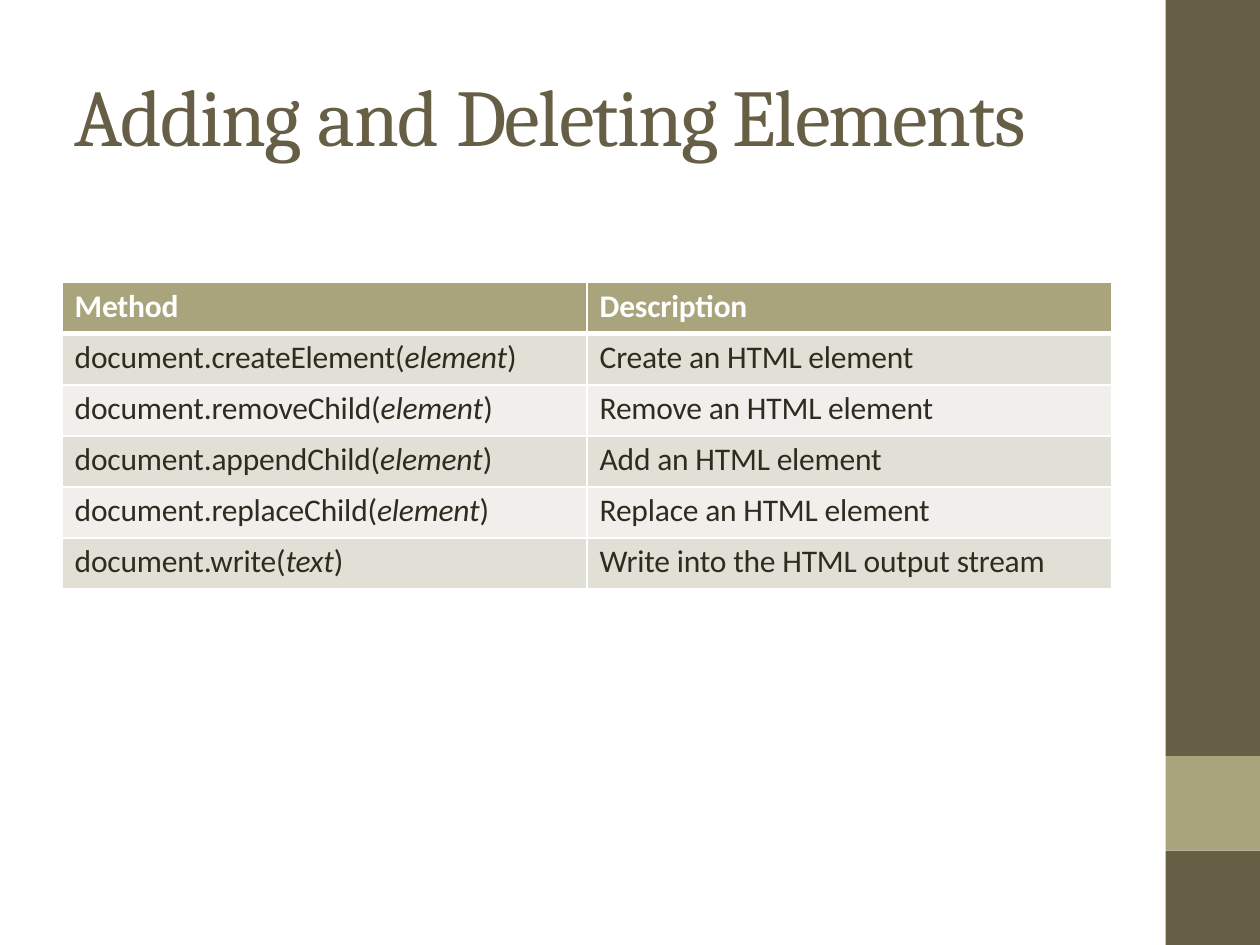
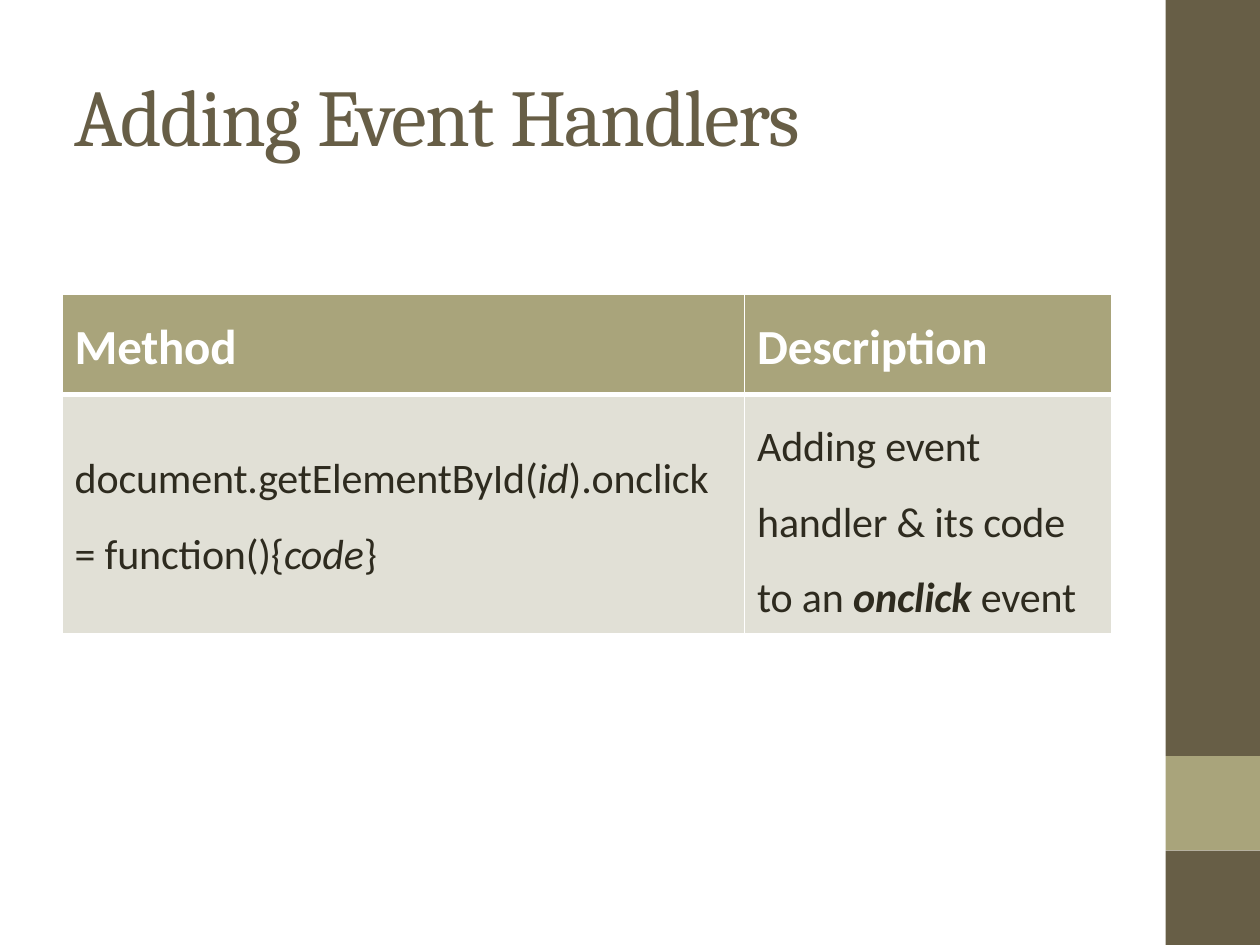
from lxml import etree
from pptx import Presentation
from pptx.dml.color import RGBColor
from pptx.enum.shapes import MSO_SHAPE
from pptx.oxml.ns import qn
from pptx.util import Pt

RECTANGLE = MSO_SHAPE.RECTANGLE

COLORS = {
    "olive": "675E46",
    "sage": "A9A47B",
    "ink": "2E2B1F",
    "white": "FFFFFF",
    "odd_row": "E1E0D6",
    "even_row": "F0EFEB",
}
TITLE_FONT, BODY_FONT = "Cambria", "Calibri"
SLIDE_WIDTH, SLIDE_HEIGHT = 720, 540
BAND_LEFT, ACCENT_TOP, ACCENT_SIZE = 666, 432, 54
TABLE_LEFT = 35.5
CELL_LEFT, CELL_RIGHT = 7.2, 12
HEADINGS = ("Method", "Description")

ELEMENT_METHODS = [
    ("document.createElement(", "element", "Create an HTML element"),
    ("document.removeChild(", "element", "Remove an HTML element"),
    ("document.appendChild(", "element", "Add an HTML element"),
    ("document.replaceChild(", "element", "Replace an HTML element"),
    ("document.write(", "text", "Write into the HTML output stream"),
]


def rgb(name):
    return RGBColor.from_string(COLORS[name])


def add_run(paragraph, text, size, font_name, color, spacing, style=""):
    run = paragraph.add_run()
    run.text = text
    font = run.font
    font.size = Pt(size)
    font.name = font_name
    font.color.rgb = rgb(color)
    font.bold = "b" in style
    font.italic = "i" in style
    run._r.get_or_add_rPr().set("spc", str(round(spacing * 100)))


def add_band(slide, top, height, color):
    band = slide.shapes.add_shape(
        RECTANGLE, Pt(BAND_LEFT), Pt(top), Pt(SLIDE_WIDTH - BAND_LEFT), Pt(height))
    band.shadow.inherit = False
    band.fill.solid()
    band.fill.fore_color.rgb = rgb(color)
    band.line.fill.background()


def add_title(slide, width, runs):
    title = slide.shapes.add_textbox(Pt(42.5), Pt(36.7), Pt(width), Pt(57))
    frame = title.text_frame
    frame.word_wrap = False
    frame.margin_left = frame.margin_right = frame.margin_bottom = 0
    frame.margin_top = Pt(0.9)
    for text, spacing in runs:
        add_run(frame.paragraphs[0], text, 46, TITLE_FONT, "olive", spacing)


def add_titled_slide(deck, title_width, title_runs):
    slide = deck.slides.add_slide(deck.slide_layouts[6])
    accent_bottom = ACCENT_TOP + ACCENT_SIZE
    add_band(slide, 0, ACCENT_TOP, "olive")
    add_band(slide, ACCENT_TOP, ACCENT_SIZE, "sage")
    add_band(slide, accent_bottom, SLIDE_HEIGHT - accent_bottom, "olive")
    add_title(slide, title_width, title_runs)
    return slide


def set_borders(cell, top, bottom):
    properties = cell._tc.get_or_add_tcPr()
    widths = {"a:lnL": 1, "a:lnR": 1, "a:lnT": top, "a:lnB": bottom}
    for position, (side, width) in enumerate(widths.items()):
        border = etree.Element(qn(side), w=str(Pt(width)))
        fill = etree.SubElement(border, qn("a:solidFill"))
        etree.SubElement(fill, qn("a:srgbClr"), val=COLORS["white"])
        properties.insert(position, border)


def fill_cell(cell, paragraphs, size, color, margin_top, line_height=None, gap=0):
    cell.margin_left, cell.margin_right = Pt(CELL_LEFT), Pt(CELL_RIGHT)
    cell.margin_top, cell.margin_bottom = Pt(margin_top), 0
    frame = cell.text_frame
    for index, runs in enumerate(paragraphs):
        paragraph = frame.add_paragraph() if index else frame.paragraphs[0]
        if index:
            paragraph.space_before = Pt(gap)
        if line_height:
            paragraph.line_spacing = Pt(line_height)
        for text, style in runs:
            add_run(paragraph, text, size, BODY_FONT, color, -0.1, style)


def add_method_table(slide, top, column_widths, row_heights, heading_size, heading_margin):
    table = slide.shapes.add_table(
        len(row_heights), len(column_widths), Pt(TABLE_LEFT), Pt(top),
        Pt(sum(column_widths)), Pt(sum(row_heights))).table
    for column, width in zip(table.columns, column_widths):
        column.width = Pt(width)
    for index, (row, height) in enumerate(zip(table.rows, row_heights)):
        row.height = Pt(height)
        shade = "sage" if index == 0 else "odd_row" if index % 2 else "even_row"
        for cell in row.cells:
            cell.fill.solid()
            cell.fill.fore_color.rgb = rgb(shade)
            set_borders(cell, 3 if index == 1 else 1, 3 if index == 0 else 1)
    for column, heading in enumerate(HEADINGS):
        fill_cell(table.cell(0, column), [[(heading, "b")]],
                  heading_size, "white", heading_margin)
    return table


def build_elements_slide(deck):
    slide = add_titled_slide(
        deck, 567.5, [("Adding ", -0.9), ("and ", -0.7), ("Deleting Elements", -0.9)])
    row_count = len(ELEMENT_METHODS) + 1
    table = add_method_table(slide, 161.5, [300, 300], [29.2] * row_count, 18, 2.6)
    for row, (call, argument, description) in enumerate(ELEMENT_METHODS, start=1):
        method = [(call, ""), (argument, "i"), (")", "")]
        for column, runs in enumerate((method, [(description, "")])):
            fill_cell(table.cell(row, column), [runs], 18, "ink", 2.6)


def build_handlers_slide(deck):
    slide = add_titled_slide(
        deck, 452, [("Adding ", -0.9), ("Event ", -1.1), ("Handlers", -0.9)])
    table = add_method_table(slide, 168, [390, 210], [57.6, 136.8], 28, 13.4)
    method = [
        [("document.getElementById(", ""), ("id", "i"), (").onclick", "")],
        [("= function(){", ""), ("code", "i"), ("}", "")],
    ]
    description = [[("Adding event handler & its code to an ", ""),
                    ("onclick ", "bi"), ("event", "")]]
    fill_cell(table.cell(1, 0), method, 24, "ink", 33.5, gap=14.4)
    fill_cell(table.cell(1, 1), description, 24, "ink", 1.4, line_height=43.2)


def main():
    deck = Presentation()
    deck.slide_width, deck.slide_height = Pt(SLIDE_WIDTH), Pt(SLIDE_HEIGHT)
    build_elements_slide(deck)
    build_handlers_slide(deck)
    deck.save("out.pptx")


if __name__ == "__main__":
    main()
